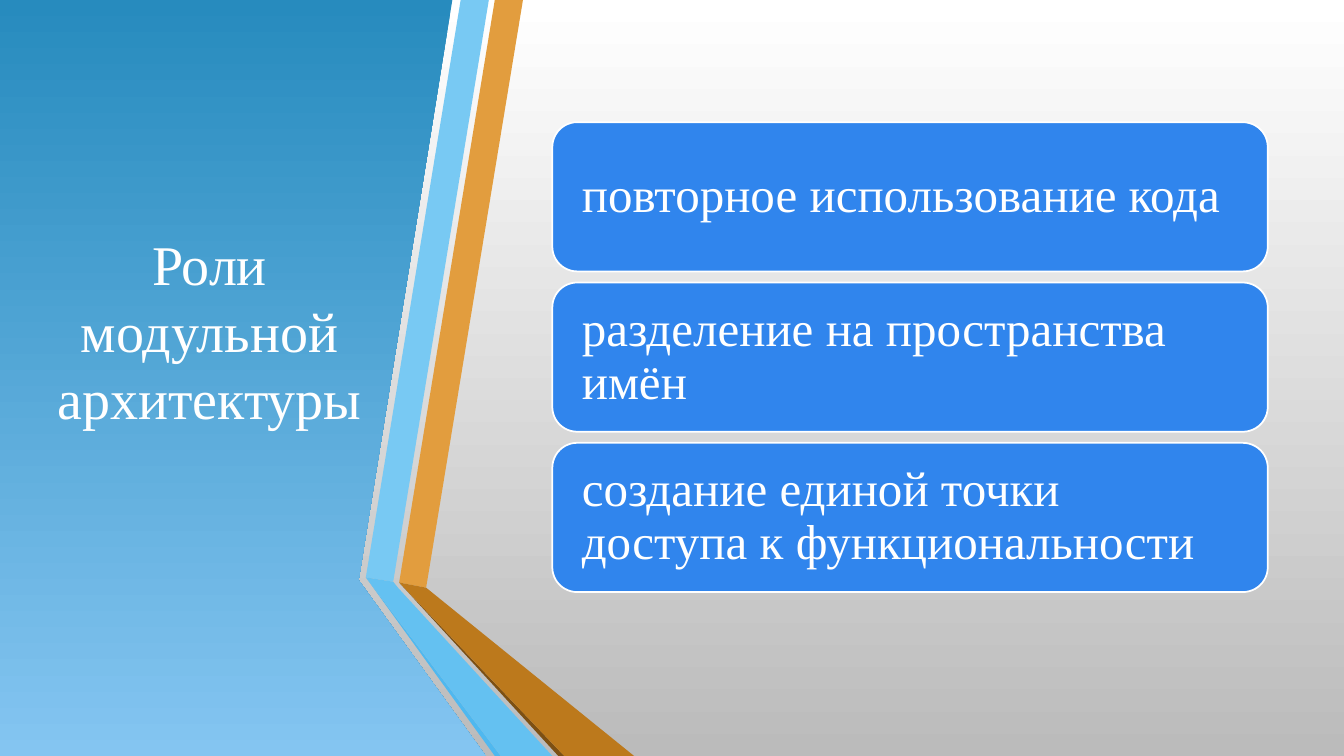
from dataclasses import dataclass

from pptx import Presentation
from pptx.dml.color import RGBColor
from pptx.enum.shapes import MSO_SHAPE
from pptx.enum.text import MSO_ANCHOR, PP_ALIGN
from pptx.util import Cm, Pt

ROUNDED = MSO_SHAPE.ROUNDED_RECTANGLE
MIDDLE = MSO_ANCHOR.MIDDLE
LEFT, CENTER = PP_ALIGN.LEFT, PP_ALIGN.CENTER
BLANK_LAYOUT = 6
WIDTH, HEIGHT = 33.87, 19.05


@dataclass(frozen=True)
class Theme:
    """Colours, font and type sizes of the deck."""
    font: str = "Times New Roman"
    title_size: int = 40
    card_size: int = 35
    text: str = "FFFFFF"
    card: str = "3085ED"
    card_line: str = "FFFFFF"
    backdrop: tuple = ("FFFFFF", "BBBBBB")
    panel: tuple = ("278BBE", "84C5F1")
    orange: str = "E29D3E"
    orange_fold: str = "BC791C"
    orange_shade: str = "7D5013"
    blue: str = "78C9F3"
    blue_fold: str = "64C1F1"
    blue_shade: str = "4FB8EF"


class SlideBuilder:
    """Draws elements on one page in the given theme; lengths are in cm."""

    def __init__(self, page, theme):
        """Keep the page and its theme."""
        self.page = page
        self.theme = theme

    def paint(self, fill, colour):
        """Fill with one colour, or with a pair running from top to bottom."""
        if isinstance(colour, str):
            fill.solid()
            fill.fore_color.rgb = RGBColor.from_string(colour)
            return
        fill.gradient()
        fill.gradient_angle = 270
        for stop, shade in zip(fill.gradient_stops, colour):
            stop.color.rgb = RGBColor.from_string(shade)

    def background(self, colour):
        """Fill the page background."""
        self.paint(self.page.background.fill, colour)

    def polygon(self, points, colour):
        """Draw a closed outline without a line."""
        start, *others = [(Cm(x), Cm(y)) for x, y in points]
        builder = self.page.shapes.build_freeform(*start)
        builder.add_line_segments(others, close=True)
        shape = builder.convert_to_shape()
        shape.shadow.inherit = False
        shape.line.fill.background()
        self.paint(shape.fill, colour)

    def set_text(self, shape, text, size, alignment, spacing=1.0):
        """Set one vertically centred paragraph in a shape."""
        frame = shape.text_frame
        frame.text = text
        frame.word_wrap = True
        frame.vertical_anchor = MIDDLE
        para = frame.paragraphs[0]
        para.alignment = alignment
        para.line_spacing = spacing
        font = para.runs[0].font
        font.name = self.theme.font
        font.size = Pt(size)
        font.color.rgb = RGBColor.from_string(self.theme.text)

    def title(self, text, left, top, width, height):
        """Add the centred title."""
        box = self.page.shapes.add_textbox(Cm(left), Cm(top), Cm(width), Cm(height))
        self.set_text(box, text, self.theme.title_size, CENTER)

    def card(self, text, left, top, width, height):
        """Add a rounded card with left-aligned text."""
        card = self.page.shapes.add_shape(
            ROUNDED, Cm(left), Cm(top), Cm(width), Cm(height))
        card.shadow.inherit = False
        self.paint(card.fill, self.theme.card)
        self.paint(card.line.fill, self.theme.card_line)
        card.line.width = Pt(1.25)
        frame = card.text_frame
        frame.margin_left = frame.margin_right = Cm(0.56)
        self.set_text(card, text, self.theme.card_size, LEFT, 0.9)


def draw_ribbons(slide):
    """Draw the left panel and the two folded ribbons beside it."""
    theme = slide.theme
    slide.polygon([(0, 0), (11.4, 0), (9.04, 14.62), (12.24, HEIGHT), (0, HEIGHT)],
                  theme.panel)

    # Corners shared by the upper and lower parts of each ribbon
    blue_left, blue_right = (9.22, 14.55), (9.91, 14.66)
    orange_left, orange_right = (10.06, 14.68), (10.74, 14.81)
    blue_foot, orange_foot = (12.62, HEIGHT), (14.22, HEIGHT)

    pieces = [
        (theme.orange, [orange_left, orange_right, (13.18, 0), (12.47, 0)]),
        (theme.blue, [blue_left, blue_right, (12.32, 0), (11.61, 0)]),
        (theme.blue_shade, [blue_left, (12.47, HEIGHT), blue_foot]),
        (theme.orange_shade, [orange_left, (14.07, HEIGHT), orange_foot]),
        (theme.orange_fold,
         [orange_left, orange_foot, (15.98, HEIGHT), orange_right]),
        (theme.blue_fold,
         [blue_left, blue_foot, (13.92, HEIGHT), (10.03, 14.81), blue_right]),
    ]
    for colour, points in pieces:
        slide.polygon(points, colour)


def draw_roles(slide):
    """Stack one card per role at equal steps."""
    roles = [
        "повторное использование кода",
        "разделение на пространства имён",
        "создание единой точки доступа к функциональности",
    ]
    first_top, card_height, gap = 3.08, 3.76, 0.28
    for index, role in enumerate(roles):
        top = first_top + index * (card_height + gap)
        slide.card(role, 13.92, top, 18.03, card_height)


def main():
    """Build the deck and save it."""
    deck = Presentation()
    deck.slide_width, deck.slide_height = Cm(WIDTH), Cm(HEIGHT)
    page = deck.slides.add_slide(deck.slide_layouts[BLANK_LAYOUT])
    slide = SlideBuilder(page, Theme())
    slide.background(slide.theme.backdrop)
    draw_ribbons(slide)
    slide.title("Роли модульной архитектуры", 0.76, 1.24, 9.04, 14.17)
    draw_roles(slide)
    deck.save("out.pptx")


main()
